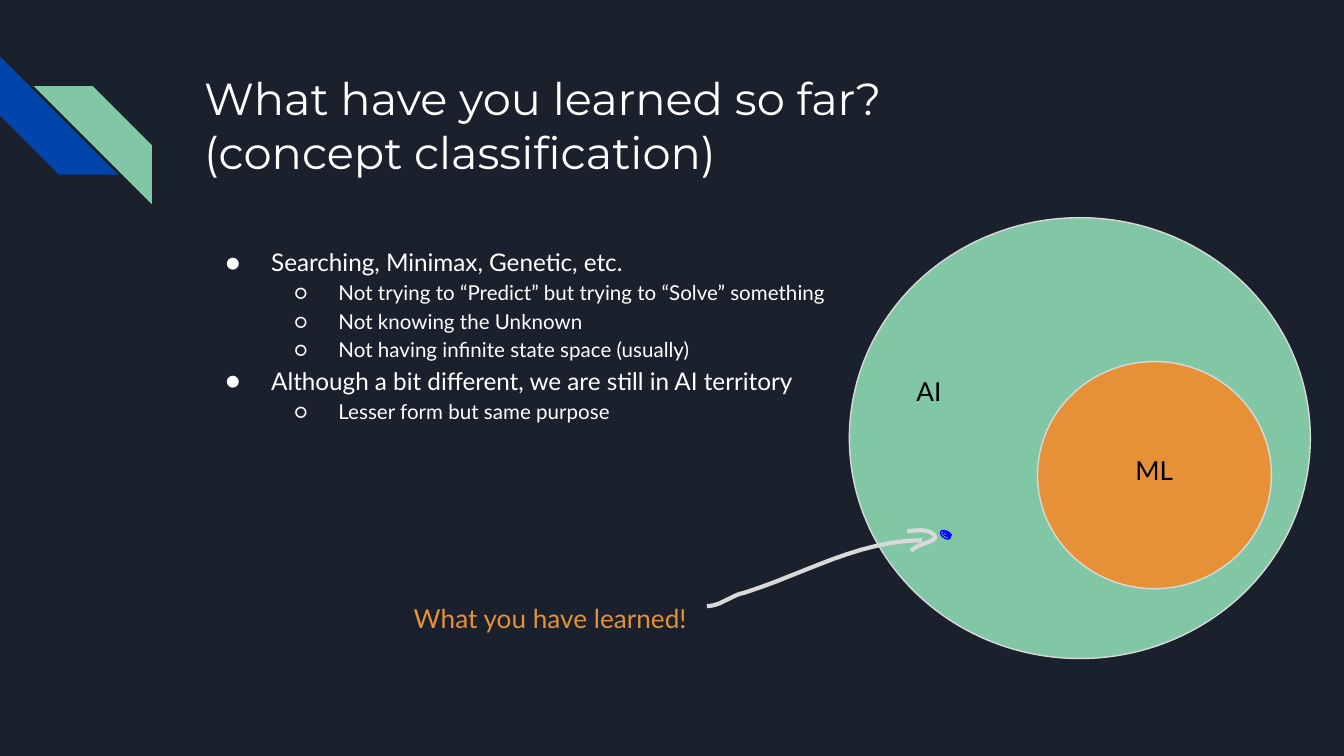
"""Build the concept classification slide with nested AI and ML circles."""
from lxml.etree import SubElement
from pptx import Presentation
from pptx.dml.color import RGBColor
from pptx.enum.shapes import MSO_SHAPE
from pptx.oxml.ns import qn
from pptx.util import Inches, Pt

NAVY, BLUE, GREEN, ORANGE = "1B212C", "0145AC", "82C7A5", "E69138"
WHITE, BLACK, GREY, INK = "FFFFFF", "000000", "D9D9D9", "0000FF"

TITLE = ["What have you learned so far?", "(concept classification)"]
BODY = [
    (0, "Searching, Minimax, Genetic, etc."),
    (1, "Not trying to “Predict” but trying to “Solve” something"),
    (1, "Not knowing the Unknown"),
    (1, "Not having infinite state space (usually)"),
    (0, "Although a bit different, we are still in AI territory"),
    (1, "Lesser form but same purpose"),
]
LEVELS = [
    {"size": 13, "bullet": "●", "left": 0.5, "hang": 0.34},
    {"size": 11, "bullet": "○", "left": 1, "hang": 0.33},
]
STRIPES = [((0, 0.42, 0.88, 0.88), BLUE, 270), ((0.25, 0.64, 0.88, 0.88), GREEN, 90)]
CIRCLES = [((6.32, 1.62, 3.43, 3.28), GREEN), ((7.72, 2.69, 1.74, 1.69), ORANGE)]
LABELS = [
    ("AI", (6.72, 2.69, 0.61, 0.63), BLACK),
    ("ML", (8.35, 3.28, 0.76, 0.69), BLACK),
    ("What you have learned!", (2.98, 4.38, 2.6, 0.52), ORANGE),
]
DOT = [
    (7.03, 3.96), (7.01, 3.96), (7.08, 3.98), (7.07, 4), (7.06, 4.03), (6.99, 3.99),
    (7, 3.96), (7, 3.93), (7.09, 3.96), (7.07, 3.99), (7.06, 4.01), (7, 3.97),
    (7.02, 3.96), (7.02, 3.96), (7.08, 3.98), (7.08, 3.98), (7.07, 3.99),
    (7.05, 3.99), (7.04, 3.98),
]
ARROW_SHAFT = [(5.26, 4.51), (5.36, 4.51), (5.44, 4.43), (5.54, 4.41),
               (5.98, 4.27), (6.4, 4.02), (6.86, 4.02)]
ARROW_HEAD = [(6.75, 3.95), (6.82, 3.95), (6.9, 3.93), (6.95, 3.98),
              (7, 4.03), (6.82, 4.04), (6.78, 4.1)]
STROKES = [(DOT, INK, 0.75), (ARROW_SHAFT, GREY, 2.25), (ARROW_HEAD, GREY, 2.25)]
STEPS, UNITS = 12, 1000


def rgb(value):
    return RGBColor.from_string(value)


def add_preset(s, kind, box, fill, line=None, rotation=0):
    sp = s.shapes.add_shape(kind, *map(Inches, box))
    sp.shadow.inherit = False
    sp.rotation = rotation
    sp.fill.solid()
    sp.fill.fore_color.rgb = rgb(fill)
    if line:
        sp.line.color.rgb = rgb(line)
        sp.line.width = Pt(0.75)
    else:
        sp.line.fill.background()


def add_text(s, box, lines, size, color, font="Lato"):
    tf = s.shapes.add_textbox(*map(Inches, box)).text_frame
    tf.word_wrap = True
    for side in ("left", "top", "right", "bottom"):
        setattr(tf, f"margin_{side}", Inches(0.1))
    tf.text = "\n".join(lines)
    for p in tf.paragraphs:
        for r in p.runs:
            for name, value in {"name": font, "size": Pt(size)}.items():
                setattr(r.font, name, value)
            r.font.color.rgb = rgb(color)
    return tf


def format_bullet(p, level):
    look = LEVELS[level]
    p.level = level
    p.line_spacing = 1.15
    p.runs[0].font.size = Pt(look["size"])
    pPr = p._p.get_or_add_pPr()
    pPr.set("marL", str(Inches(look["left"])))
    pPr.set("indent", str(-Inches(look["hang"])))
    SubElement(SubElement(pPr, qn("a:buClr")), qn("a:srgbClr")).set("val", WHITE)
    SubElement(pPr, qn("a:buFont")).set("typeface", "Lato")
    SubElement(pPr, qn("a:buChar")).set("char", look["bullet"])


def bezier(controls, t):
    weights = ((1 - t) ** 3, 3 * t * (1 - t) ** 2, 3 * t * t * (1 - t), t ** 3)
    return tuple(sum(w * v for w, v in zip(weights, axis)) * UNITS
                 for axis in zip(*controls))


def add_stroke(s, points, color, width):
    curve = [bezier(points[i:i + 4], n / STEPS)
             for i in range(0, len(points) - 1, 3) for n in range(1, STEPS + 1)]
    x, y = points[0]
    builder = s.shapes.build_freeform(x * UNITS, y * UNITS, scale=Inches(1) / UNITS)
    builder.add_line_segments(curve, close=False)
    sp = builder.convert_to_shape()
    sp.shadow.inherit = False
    sp.fill.background()
    sp.line.color.rgb = rgb(color)
    sp.line.width = Pt(width)


def main():
    prs = Presentation()
    prs.slide_width = Inches(10)
    prs.slide_height = prs.slide_width * 9 // 16
    s = prs.slides.add_slide(prs.slide_layouts[6])
    s.background.fill.solid()
    s.background.fill.fore_color.rgb = rgb(NAVY)

    for box, fill, rotation in STRIPES:
        add_preset(s, MSO_SHAPE.DIAGONAL_STRIPE, box, fill, rotation=rotation)
    add_text(s, (1.42, 0.43, 7.7, 1), TITLE, 24, WHITE, "Montserrat")
    tf = add_text(s, (1.42, 1.71, 7.7, 3.18), [text for _, text in BODY], 13, WHITE)
    for p, (level, _) in zip(tf.paragraphs, BODY):
        format_bullet(p, level)
    for box, fill in CIRCLES:
        add_preset(s, MSO_SHAPE.OVAL, box, fill, GREY)
    for text, box, color in LABELS:
        add_text(s, box, [text], 14, color)
    for points, color, width in STROKES:
        add_stroke(s, points, color, width)
    prs.save("out.pptx")


if __name__ == "__main__":
    main()
